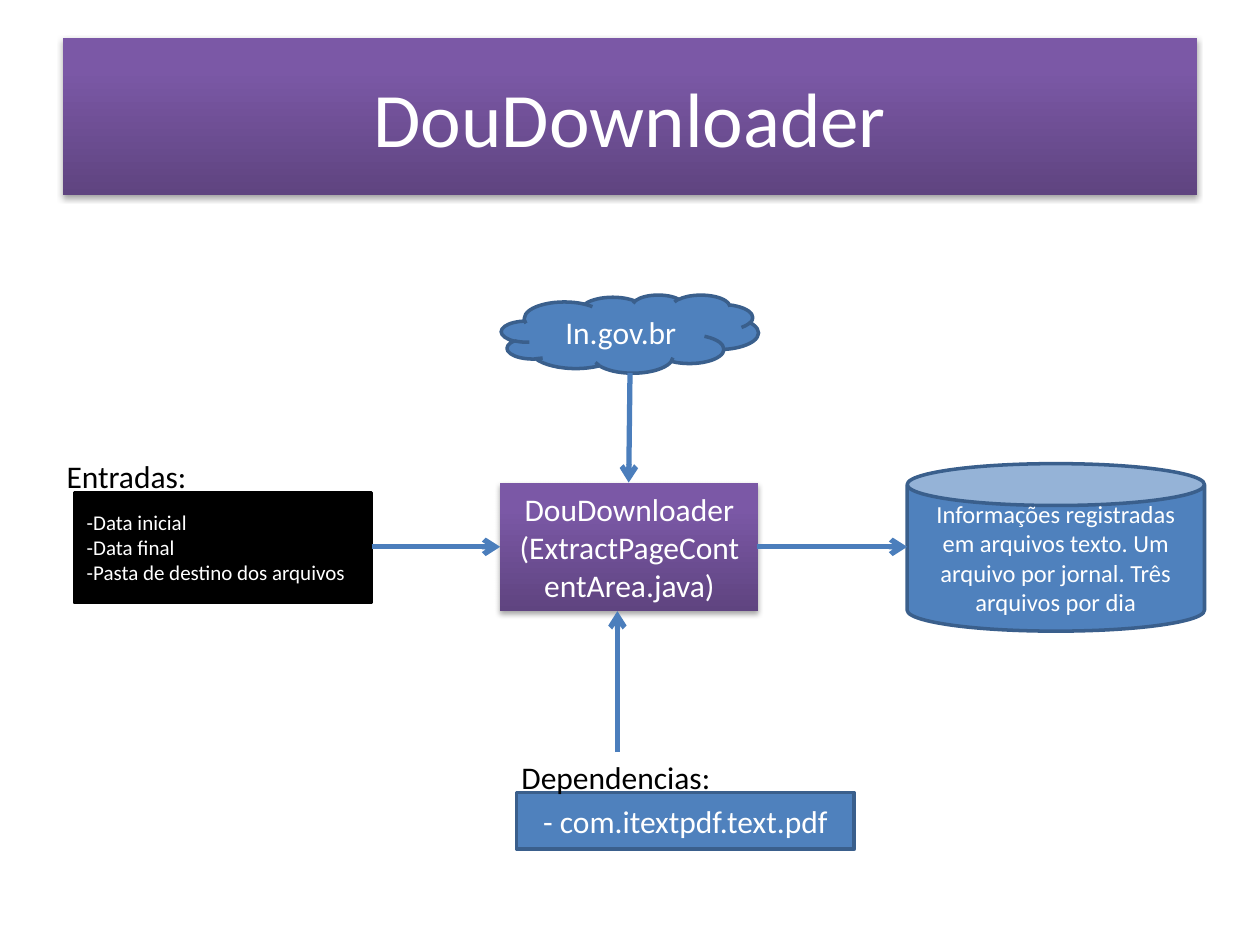
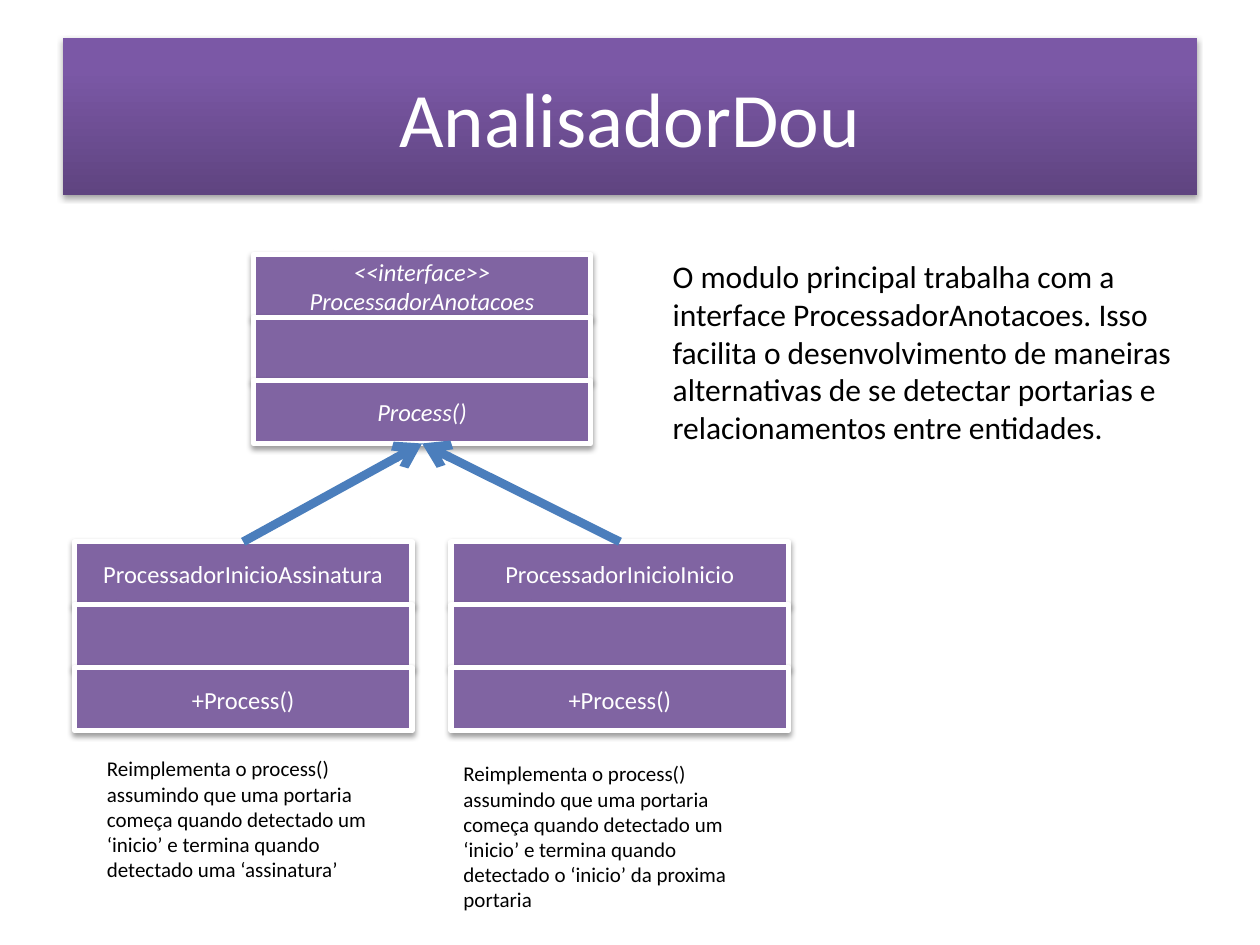
from pptx import Presentation
from pptx.util import Inches, Pt
from pptx.dml.color import RGBColor
from pptx.enum.shapes import MSO_SHAPE, MSO_CONNECTOR
from pptx.enum.text import PP_ALIGN, MSO_ANCHOR, MSO_AUTO_SIZE
from pptx.oxml.ns import qn
from lxml.etree import SubElement
from copy import deepcopy

FONT = "Calibri"
WHITE, BLACK = "FFFFFF", "000000"
BLUE, BLUE_EDGE, ARROW = "4F81BD", "3A5F8C", "4B7EBC"
PURPLE = "8064A2"
GRADIENT = [(0, "5F4480"), (0.8, "7B58A6"), (1, "7C57A8")]
UML_W, UML_H = 2.68, 0.5


def rgb(value):
    return RGBColor.from_string(value)


class Deck:
    def __init__(self):
        self.prs = Presentation()
        self.prs.slide_width, self.prs.slide_height = Inches(10), Inches(7.5)
        self.s = None

    def slide(self, title):
        self.s = self.prs.slides.add_slide(self.prs.slide_layouts[5])
        sp = self.s.shapes.title
        sp.left, sp.top, sp.width, sp.height = map(Inches, (0.5, 0.3, 9, 1.25))
        self.gradient(sp)
        self.add_lines(sp, [title], 44, WHITE, PP_ALIGN.CENTER,
                       MSO_ANCHOR.MIDDLE)

    def add_lines(self, sp, lines, size, color, align, anchor, italic=False):
        tf = sp.text_frame
        tf.word_wrap = True
        tf.vertical_anchor = anchor
        for i, line in enumerate(lines):
            p = tf.add_paragraph() if i else tf.paragraphs[0]
            p.alignment = align
            r = p.add_run()
            r.text = line
            r.font.name, r.font.size = FONT, Pt(size)
            r.font.color.rgb = rgb(color)
            if italic:
                r.font.italic = True

    def shadow(self, sp, alpha, dist):
        sp.shadow.inherit = False
        effects = sp._element.spPr.find(qn("a:effectLst"))
        outer = SubElement(effects, qn("a:outerShdw"), blurRad=str(Pt(3.1)),
                           dist=str(Pt(dist)), dir="5400000", rotWithShape="0")
        color = SubElement(outer, qn("a:srgbClr"), val=BLACK)
        SubElement(color, qn("a:alpha"), val=str(alpha * 1000))

    def gradient(self, sp):
        sp.fill.gradient()
        sp.fill.gradient_angle = 90
        stops = sp._element.spPr.find(qn("a:gradFill")).find(qn("a:gsLst"))
        stops.insert(1, deepcopy(stops[0]))
        for stop, (position, color) in zip(sp.fill.gradient_stops, GRADIENT):
            stop.position = position
            stop.color.rgb = rgb(color)
        sp.line.fill.background()
        self.shadow(sp, 35, 1.8)

    def shape(self, kind, box, lines, size=18, fill=BLUE, edge=BLUE_EDGE,
              weight=2, align=PP_ALIGN.CENTER, italic=False):
        sp = self.s.shapes.add_shape(kind, *map(Inches, box))
        sp.shadow.inherit = False
        sp.fill.solid()
        sp.fill.fore_color.rgb = rgb(fill)
        sp.line.color.rgb = rgb(edge)
        sp.line.width = Pt(weight)
        self.add_lines(sp, lines, size, WHITE, align, MSO_ANCHOR.MIDDLE, italic)
        return sp

    def text(self, box, line, size=18, wrap=True):
        sp = self.s.shapes.add_textbox(*map(Inches, box))
        self.add_lines(sp, [line], size, BLACK, PP_ALIGN.LEFT, MSO_ANCHOR.TOP)
        sp.text_frame.word_wrap = wrap
        sp.text_frame.auto_size = MSO_AUTO_SIZE.SHAPE_TO_FIT_TEXT

    def arrow(self, start, end, weight=3):
        cx = self.s.shapes.add_connector(MSO_CONNECTOR.STRAIGHT,
                                         *map(Inches, start + end))
        cx.line.color.rgb = rgb(ARROW)
        cx.line.width = Pt(weight)
        sp_pr = cx._element.spPr
        SubElement(sp_pr.find(qn("a:ln")), qn("a:tailEnd"), type="arrow")
        SubElement(sp_pr, qn("a:effectLst"))

    def uml_class(self, left, top, name, method, italic=False):
        for i, lines in enumerate((name, [], [method])):
            sp = self.shape(MSO_SHAPE.RECTANGLE,
                            (left, top + i * UML_H, UML_W, UML_H), lines,
                            14, PURPLE, WHITE, 3, italic=italic)
            self.shadow(sp, 38, 1.6)


deck = Deck()

deck.slide("DouDownloader")
core = deck.shape(MSO_SHAPE.RECTANGLE, (3.97, 3.83, 2.05, 1.02),
                  ["DouDownloader", "(ExtractPageContentArea.java)"])
deck.gradient(core)
deck.shape(MSO_SHAPE.RECTANGLE, (0.59, 3.91, 2.36, 0.87),
           ["-Data inicial", "-Data final", "-Pasta de destino dos arquivos"],
           12, BLACK, BLACK, align=PP_ALIGN.LEFT)
deck.text((0.43, 3.58, 1.97, 0.4), "Entradas:")
deck.shape(MSO_SHAPE.RECTANGLE, (4.1, 6.29, 2.68, 0.45),
           ["- com.itextpdf.text.pdf"])
deck.text((4.04, 5.97, 1.72, 0.4), "Dependencias:", wrap=False)
deck.shape(MSO_SHAPE.CLOUD, (3.98, 2.34, 2.04, 0.62), ["In.gov.br"])
deck.shape(MSO_SHAPE.CAN, (7.2, 3.68, 2.36, 1.33),
           ["Informações registradas em arquivos texto. "
            "Um arquivo por jornal. Três arquivos por dia"], 14)
for start, end in [((2.95, 4.34), (3.97, 4.34)), ((6.01, 4.34), (7.2, 4.34)),
                   ((5, 2.96), (4.99, 3.83)), ((4.9, 5.97), (4.9, 4.85))]:
    deck.arrow(start, end)

deck.slide("AnalisadorDou")
parent_left, parent_top, child_top = 2.01, 2.02, 4.3
children = [(0.59, "ProcessadorInicioAssinatura"),
            (3.58, "ProcessadorInicioInicio")]
deck.uml_class(parent_left, parent_top,
               ["<<interface>>", "ProcessadorAnotacoes"], "Process()", True)
for left, name in children:
    deck.uml_class(left, child_top, [name], "+Process()")
summary = ("Reimplementa o process() assumindo que uma portaria começa quando "
           "detectado um ‘inicio’ e termina quando detectado ")
deck.text((0.75, 5.95, 2.52, 1.11), summary + "uma ‘assinatura’", 12)
deck.text((3.58, 5.99, 2.52, 1.31),
          summary + "o ‘inicio’ da proxima portaria", 12)
deck.text((5.24, 1.99, 4.25, 1.62),
          "O modulo principal trabalha com a interface ProcessadorAnotacoes. "
          "Isso facilita o desenvolvimento de maneiras alternativas de se "
          "detectar portarias e relacionamentos entre entidades.")
for left, name in children:
    deck.arrow((left + UML_W / 2, child_top),
               (parent_left + UML_W / 2, parent_top + 3 * UML_H), 5)

deck.prs.save("out.pptx")
